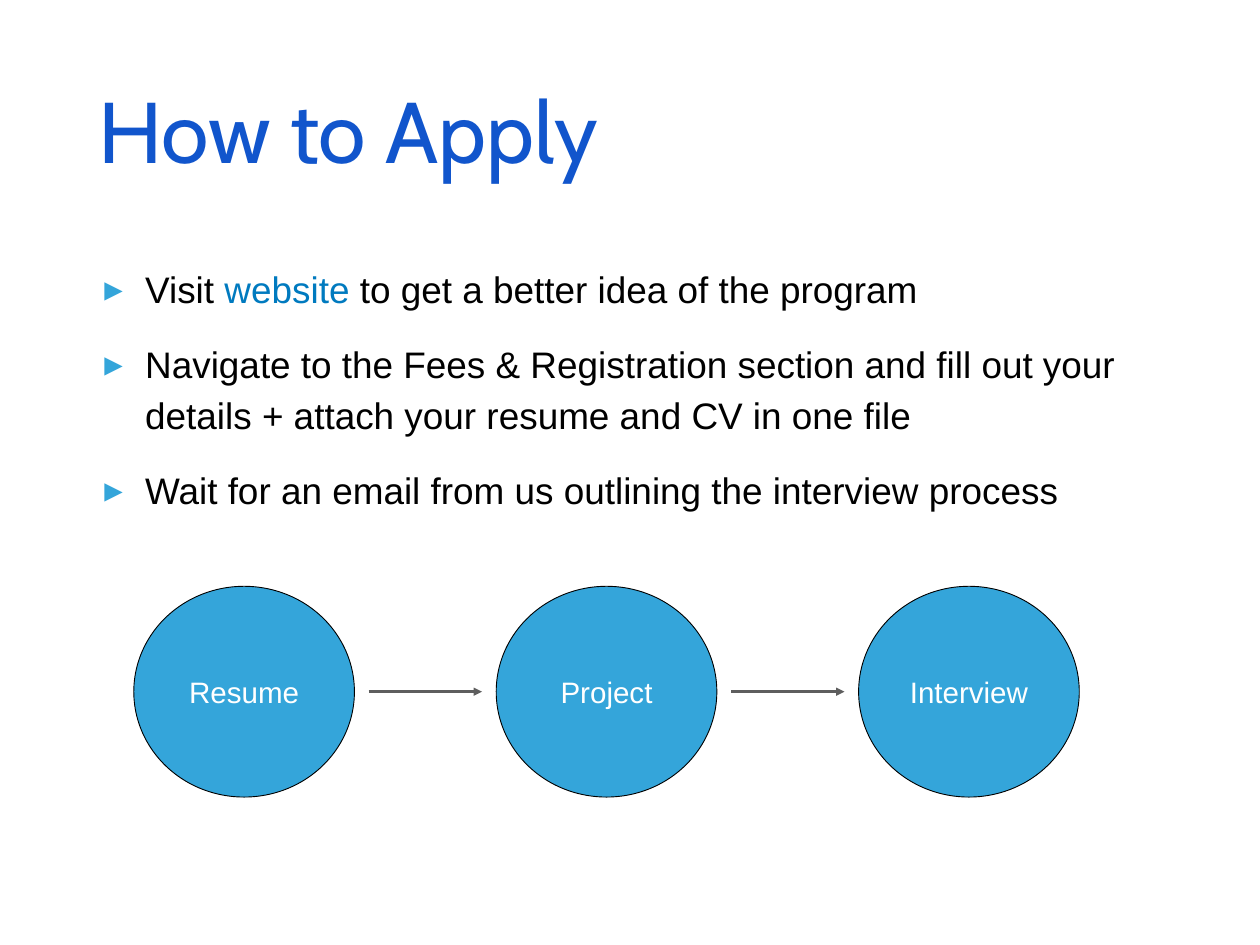
from lxml import etree
from pptx import Presentation
from pptx import util as u
from pptx.dml.color import RGBColor
from pptx.enum import shapes, text
from pptx.oxml import ns

PX = 9144  # 100 px to the inch
BLUE = "34A5DA"
BLACK = "000000"

INSTRUCTIONS = [
    [("Visit ", BLACK), ("website", "007ABF"),
     (" to get a better idea of the program", BLACK)],
    [("Navigate to the Fees & Registration section and fill out your details"
      " + attach your resume and CV in one file", BLACK)],
    [("Wait for an email from us outlining the interview process", BLACK)],
]
STAGES = ["Resume", "Project", "Interview"]


def px(*lengths):
    return [u.Emu(length * PX) for length in lengths]


def color(value):
    return RGBColor.from_string(value)


def add_xml(parent, tag, **attributes):
    return etree.SubElement(parent, ns.qn(tag), **attributes)


def set_frame(frame, inset, anchor):
    frame.word_wrap = True
    frame.auto_size = text.MSO_AUTO_SIZE.NONE
    frame.vertical_anchor = anchor
    margin = u.Emu(inset * PX)
    frame.margin_left = frame.margin_right = margin
    frame.margin_top = frame.margin_bottom = margin


def add_run(paragraph, words, size, font, value):
    run = paragraph.add_run()
    run.text = words
    run.font.size = u.Pt(size)
    run.font.name = font
    run.font.color.rgb = color(value)


def place_title(slide, left, top, width, height):
    title = slide.shapes.title
    title.left, title.top, title.width, title.height = px(left, top, width, height)
    set_frame(title.text_frame, 7, text.MSO_ANCHOR.MIDDLE)
    paragraph = title.text_frame.paragraphs[0]
    paragraph.alignment = text.PP_ALIGN.LEFT
    add_run(paragraph, "How to Apply", 70, "Cabin", "1155CC")


def set_bullet(paragraph):
    properties = paragraph._p.get_or_add_pPr()
    properties.set("marL", str(50 * PX))
    properties.set("indent", str(-46 * PX))
    add_xml(add_xml(properties, "a:buClr"), "a:srgbClr", val=BLUE)
    add_xml(properties, "a:buFont", typeface="Arial")
    add_xml(properties, "a:buChar", char="▸")


def add_instructions(slide, left, top, width, height):
    frame = slide.shapes.add_textbox(*px(left, top, width, height)).text_frame
    set_frame(frame, 10, text.MSO_ANCHOR.TOP)
    for index, runs in enumerate(INSTRUCTIONS):
        paragraph = frame.add_paragraph() if index else frame.paragraphs[0]
        paragraph.line_spacing = 1.15
        paragraph.space_before = paragraph.space_after = u.Pt(10)
        set_bullet(paragraph)
        for words, value in runs:
            add_run(paragraph, words, 30, "Arial", value)


def add_stage(slide, name, left, top, width, height):
    circle = slide.shapes.add_shape(
        shapes.MSO_SHAPE.OVAL, *px(left, top, width, height))
    circle.shadow.inherit = False
    circle.fill.solid()
    circle.fill.fore_color.rgb = color(BLUE)
    circle.line.color.rgb = color(BLACK)
    circle.line.width = u.Pt(0.75)
    set_frame(circle.text_frame, 0, text.MSO_ANCHOR.MIDDLE)
    paragraph = circle.text_frame.paragraphs[0]
    paragraph.alignment = text.PP_ALIGN.CENTER
    add_run(paragraph, name, 24, "Arial", "FFFFFF")


def add_arrow(slide, start, end, middle):
    arrow = slide.shapes.add_connector(
        shapes.MSO_CONNECTOR.STRAIGHT, *px(start, middle, end, middle))
    arrow.line.color.rgb = color("5E5E5E")
    arrow.line.width = u.Pt(2.25)
    add_xml(arrow.line._get_or_add_ln(), "a:tailEnd", type="triangle")
    add_xml(arrow._element.spPr, "a:effectLst")


def add_process(slide, left, top, width, height):
    diameter, gap = 249, 16
    pitch = (width - diameter) // (len(STAGES) - 1)
    for index, name in enumerate(STAGES):
        stage_left = left + index * pitch
        add_stage(slide, name, stage_left, top, diameter, height)
        if index < len(STAGES) - 1:
            add_arrow(slide, stage_left + diameter + gap,
                      stage_left + pitch - gap, top + height // 2)


def main():
    presentation = Presentation()
    presentation.slide_width, presentation.slide_height = px(1422, 1067)
    slide = presentation.slides.add_slide(presentation.slide_layouts[5])
    # Heading
    place_title(slide, 104, 28, 1214, 236)
    # Bulleted steps
    add_instructions(slide, 104, 283, 1214, 688)
    # Three stages joined by arrows
    add_process(slide, 151, 662, 1067, 238)
    presentation.save("out.pptx")


if __name__ == "__main__":
    main()
